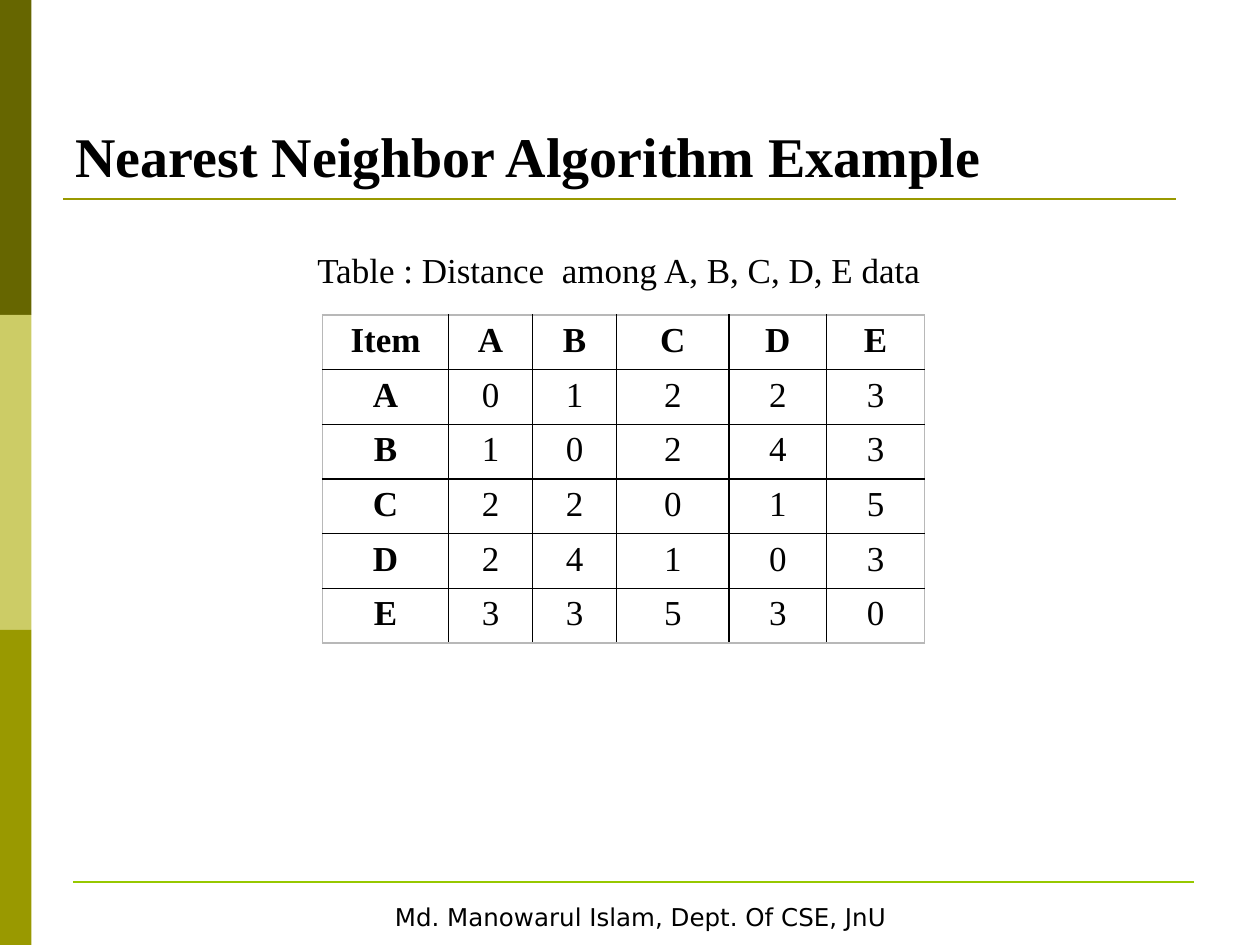
from lxml.etree import SubElement
from pptx import Presentation
from pptx.dml.color import RGBColor
from pptx.enum.shapes import MSO_CONNECTOR, MSO_SHAPE
from pptx.enum.text import MSO_ANCHOR, PP_ALIGN
from pptx.oxml.ns import qn
from pptx.util import Inches, Pt

BLACK = RGBColor(0x00, 0x00, 0x00)
WHITE = RGBColor(0xFF, 0xFF, 0xFF)
GRAY = RGBColor(0xB8, 0xB8, 0xB8)
DARK = RGBColor(0x66, 0x66, 0x00)
PALE = RGBColor(0xCC, 0xCC, 0x66)
OLIVE = RGBColor(0x99, 0x99, 0x00)
LIME = RGBColor(0x96, 0xC8, 0x00)
SERIF = "Times New Roman"
SANS = "DejaVu Sans"

deck = Presentation()
deck.slide_width, deck.slide_height = Inches(10), Inches(7.5)
slide = deck.slides.add_slide(deck.slide_layouts[6])
shapes = slide.shapes
UNIT = deck.slide_width / 40


def grid(*spans):
    return [round(span * UNIT) for span in spans]


def write(frame, text, size, name=SERIF, bold=False, align=PP_ALIGN.LEFT):
    para = frame.paragraphs[0]
    para.alignment = align
    run = para.add_run()
    run.text = text
    style = {"size": Pt(size), "name": name, "bold": bold}
    for key, value in style.items():
        setattr(run.font, key, value)
    run.font.color.rgb = BLACK


for row, color in enumerate([DARK, PALE, OLIVE]):
    band = shapes.add_shape(MSO_SHAPE.RECTANGLE, *grid(0, row * 10, 1, 10))
    band.shadow.inherit = False
    band.fill.solid()
    band.fill.fore_color.rgb = color
    band.line.fill.background()

for left, right, top, color in [(2, 37.32, 6.32, OLIVE), (2.32, 37.92, 28, LIME)]:
    rule = shapes.add_connector(MSO_CONNECTOR.STRAIGHT, *grid(left, top, right, top))
    rule.line.color.rgb = color
    rule.line.width = Pt(1.5)
    SubElement(rule._element.spPr, qn("a:effectLst"))

foot = shapes.add_shape(MSO_SHAPE.RECTANGLE, *grid(2, 28.4, 36.68, 1.4))
foot.shadow.inherit = False
foot.fill.solid()
foot.fill.fore_color.rgb = WHITE
foot.line.color.rgb = WHITE
foot.line.width = Pt(2)
foot.text_frame.word_wrap = False
write(foot.text_frame, "Md. Manowarul Islam, Dept. Of CSE, JnU", 14, SANS, align=PP_ALIGN.CENTER)

title = shapes.add_textbox(*grid(2, 1.2, 36, 5)).text_frame
for key, value in {"word_wrap": True, "vertical_anchor": MSO_ANCHOR.BOTTOM}.items():
    setattr(title, key, value)
write(title, "Nearest Neighbor Algorithm Example", 32, bold=True)

items = "ABCDE"
costs = ["01223", "10243", "22015", "24103", "33530"]
data = [["Item", *items]] + [[item, *cost] for item, cost in zip(items, costs)]
wide = [4, 2.67, 2.67, 3.56, 3.11, 3.11]
high = 1.64
last = len(data) - 1
table = shapes.add_table(
    len(data), len(wide), *grid(10.24, 10, sum(wide), high * len(data))
).table
for key in ["first_row", "horz_banding"]:
    setattr(table, key, False)
for col, width in zip(table.columns, grid(*wide)):
    col.width = width
for line in table.rows:
    line.height = grid(high)[0]

for row, line in enumerate(data):
    for col, text in enumerate(line):
        cell = table.cell(row, col)
        write(cell.text_frame, text, 20, bold=row == 0 or col == 0, align=PP_ALIGN.CENTER)
        edges = {"lnL": col == 0, "lnR": col == last, "lnT": row == 0, "lnB": row == last}
        props = cell._tc.get_or_add_tcPr()
        for tag, outer in edges.items():
            edge = SubElement(props, qn(f"a:{tag}"), w=str(Pt(1)))
            fill = SubElement(edge, qn("a:solidFill"))
            SubElement(fill, qn("a:srgbClr"), val=str(GRAY if outer else BLACK))
        cell.fill.background()

label = shapes.add_textbox(*grid(9.68, 7.68, 20.4, 1.76)).text_frame
label.word_wrap = False
write(label, "Table : Distance  among A, B, C, D, E data", 20)

deck.save("out.pptx")
